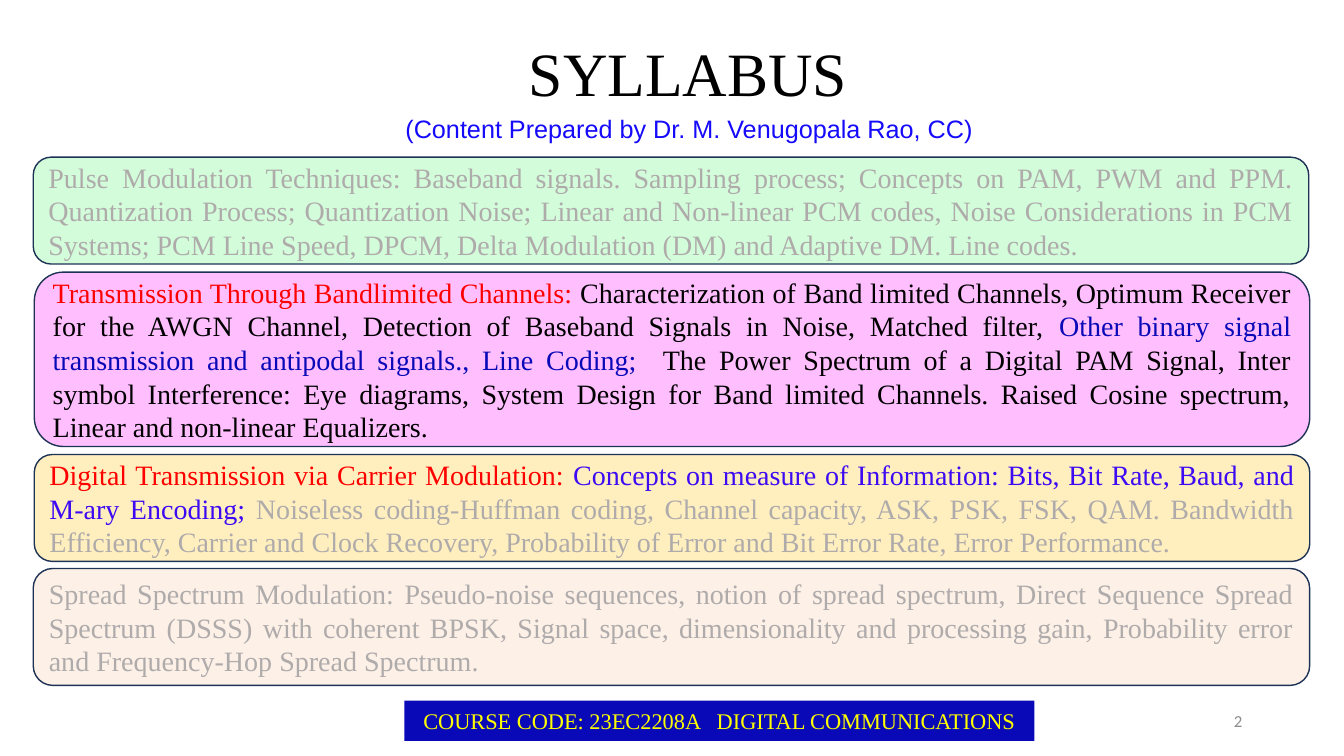
from dataclasses import dataclass

from lxml import etree
from pptx import Presentation
from pptx import util as u
from pptx.dml.color import RGBColor
from pptx.enum import shapes, text
from pptx.oxml.ns import qn


@dataclass(frozen=True)
class Theme:
    serif: str = "Times New Roman"
    sans: str = "Arial"
    plain: str = "Calibri"
    black: str = "000000"
    red: str = "FF0000"
    violet: str = "3D0BF3"
    navy: str = "0909B7"
    blue: str = "150AFA"
    muted: str = "AFABAB"
    number: str = "8C8C8C"
    yellow: str = "FFFF00"
    outline: str = "1E3256"
    title_size: int = 44
    subtitle_size: int = 18
    body_size: int = 20
    banner_size: int = 16
    number_size: int = 12


THEME = Theme()
ALIGN = text.PP_ALIGN

# Each unit: box, fill colour, opacity in percent, (wording, colour) spans
UNITS = [
    ((0.33, 1.56, 12.65, 1.06), "4DF56D", 25, [
        ("Pulse Modulation Techniques: Baseband signals. Sampling process; Concepts on PAM, PWM and PPM. "
         "Quantization Process; Quantization Noise; Linear and Non-linear PCM codes, Noise Considerations "
         "in PCM Systems; PCM Line Speed, DPCM, Delta Modulation (DM) and Adaptive DM. Line codes.",
         THEME.muted)]),
    ((0.34, 2.7, 12.65, 1.73), "FF00FF", 25, [
        ("Transmission Through Bandlimited Channels: ", THEME.red),
        ("Characterization of Band limited Channels, Optimum Receiver for the AWGN Channel, "
         "Detection of Baseband Signals in Noise, Matched filter, ", THEME.black),
        ("Other binary signal transmission and antipodal signals., Line Coding;  ", THEME.navy),
        ("The Power Spectrum of a Digital PAM Signal, Inter symbol Interference: Eye diagrams, "
         "System Design for Band limited Channels. Raised Cosine spectrum, "
         "Linear and non-linear Equalizers. ", THEME.black)]),
    ((0.34, 4.51, 12.65, 1.06), "FFC000", 25, [
        ("Digital Transmission via Carrier Modulation: ", THEME.red),
        ("Concepts on measure of Information: Bits, Bit Rate, Baud, and M-ary Encoding; ", THEME.violet),
        ("Noiseless coding-Huffman coding, Channel capacity, ASK, PSK, FSK, QAM. Bandwidth Efficiency, "
         "Carrier and Clock Recovery, Probability of Error and Bit Error Rate, Error Performance.",
         THEME.muted)]),
    ((0.33, 5.64, 12.66, 1.16), "F4B183", 19, [
        ("Spread Spectrum Modulation: Pseudo-noise sequences, notion of spread spectrum, Direct Sequence "
         "Spread Spectrum (DSSS) with coherent BPSK, Signal space, dimensionality and processing gain, "
         "Probability error and Frequency-Hop Spread Spectrum. ", THEME.muted)]),
]


def write(shape, spans, size, font, align, anchor=text.MSO_ANCHOR.MIDDLE):
    """Fill a shape with one paragraph of (wording, colour) spans."""
    frame = shape.text_frame
    frame.word_wrap = True
    frame.vertical_anchor = anchor
    para = frame.paragraphs[0]
    para.alignment = align
    for wording, colour in spans:
        span = para.add_run()
        span.text = wording
        for name, value in {"size": u.Pt(size), "name": font}.items():
            setattr(span.font, name, value)
        span.font.color.rgb = RGBColor.from_string(colour)


def add_panel(page, kind, box, colour, opacity=100):
    panel = page.shapes.add_shape(kind, *map(u.Inches, box))
    panel.shadow.inherit = False
    panel.fill.solid()
    panel.fill.fore_color.rgb = RGBColor.from_string(colour)
    if opacity < 100:
        tint = panel.fill._xPr.find(".//" + qn("a:srgbClr"))
        etree.SubElement(tint, qn("a:alpha"), val=str(opacity * 1000))
    return panel


def add_heading(page, box):
    title = page.shapes.title
    for name, value in zip(("left", "top", "width", "height"), box):
        setattr(title, name, u.Inches(value))
    write(title, [("SYLLABUS", THEME.black)], THEME.title_size, THEME.serif, ALIGN.CENTER)
    title.text_frame.paragraphs[0].line_spacing = 0.9


def add_label(page, box, wording, colour, size, font, align, anchor):
    label = page.shapes.add_textbox(*map(u.Inches, box))
    write(label, [(wording, colour)], size, font, align, anchor)


def add_unit(page, box, colour, opacity, spans):
    panel = add_panel(page, shapes.MSO_SHAPE.ROUNDED_RECTANGLE, box, colour, opacity)
    panel.line.color.rgb = RGBColor.from_string(THEME.outline)
    panel.line.width = u.Pt(1)
    write(panel, spans, THEME.body_size, THEME.serif, ALIGN.JUSTIFY)


def add_banner(page, box):
    banner = add_panel(page, shapes.MSO_SHAPE.RECTANGLE, box, THEME.navy)
    banner.line.fill.background()
    write(banner, [("COURSE CODE: 23EC2208A   DIGITAL COMMUNICATIONS", THEME.yellow)],
          THEME.banner_size, THEME.serif, ALIGN.CENTER)


def main():
    deck = Presentation()
    deck.slide_width, deck.slide_height = u.Inches(13.33), u.Inches(7.5)
    page = deck.slides.add_slide(deck.slide_layouts[5])
    add_heading(page, (1.49, 0.03, 10.67, 1.45))
    add_label(page, (9.42, 6.95, 3, 0.4), "2", THEME.number, THEME.number_size,
              THEME.plain, ALIGN.RIGHT, text.MSO_ANCHOR.MIDDLE)
    add_banner(page, (4.01, 6.95, 6.25, 0.4))
    for unit in UNITS:
        add_unit(page, *unit)
    add_label(page, (3.5, 1.08, 6.67, 0.4), "(Content Prepared by Dr. M. Venugopala Rao, CC)",
              THEME.blue, THEME.subtitle_size, THEME.sans, ALIGN.CENTER, text.MSO_ANCHOR.TOP)
    deck.save("out.pptx")


if __name__ == "__main__":
    main()
